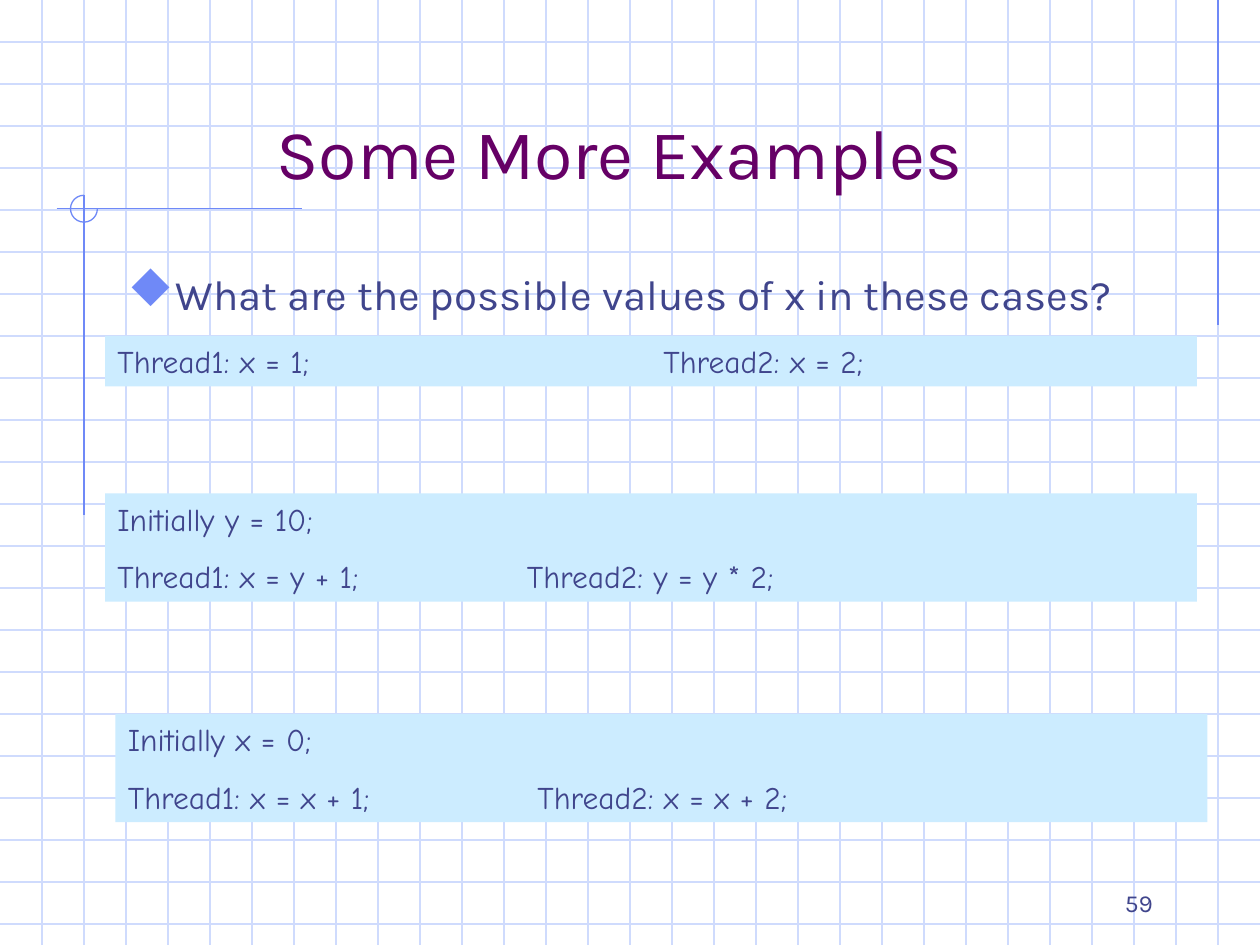
from dataclasses import dataclass

from lxml import etree
from pptx import Presentation
from pptx.dml.color import RGBColor
from pptx.enum.shapes import MSO_CONNECTOR, MSO_SHAPE
from pptx.enum.text import MSO_ANCHOR, MSO_AUTO_SIZE, PP_ALIGN
from pptx.oxml.ns import qn
from pptx.util import Inches, Pt

STRAIGHT = MSO_CONNECTOR.STRAIGHT
ARC, RECTANGLE = MSO_SHAPE.ARC, MSO_SHAPE.RECTANGLE
TOP, BOTTOM = MSO_ANCHOR.TOP, MSO_ANCHOR.BOTTOM
NO_FIT = MSO_AUTO_SIZE.NONE
LEFT, CENTER, RIGHT = PP_ALIGN.LEFT, PP_ALIGN.CENTER, PP_ALIGN.RIGHT

# The page is ruled in squares, three to the inch
COLUMNS, ROWS = 30, 22.5
SQUARE = Inches(1) / 3


@dataclass(frozen=True)
class Theme:
    grid: str = "CFDBFD"
    accent: str = "6F89F7"
    heading: str = "660066"
    text: str = "40458C"
    panel: str = "CCECFF"
    font: str = "Karla"
    code_font: str = "Comic Neue"
    bullet_font: str = "Wingdings"
    bullet: str = "u"  # the diamond of the symbol font
    title_size: float = 40
    body_size: float = 24
    code_size: float = 18
    number_size: float = 14
    line_width: float = 0.75
    code_gap: float = 11.2


THEME = Theme()


def color(value):
    return RGBColor.from_string(value)


def squares(*values):
    return [round(value * SQUARE) for value in values]


def add_child(parent, tag, **attributes):
    return etree.SubElement(parent, qn(tag), attributes)


def add_line(page, start, end, line_color):
    line = page.shapes.add_connector(STRAIGHT, *squares(*start, *end))
    line.line.color.rgb = color(line_color)
    line.line.width = Pt(THEME.line_width)
    add_child(line.element.spPr, "a:effectLst")


def format_paragraph(para, font, size, text_color, align=LEFT):
    para.alignment = align
    for span in para.runs:
        span.font.name = font
        span.font.size = Pt(size)
        span.font.color.rgb = color(text_color)


def prepare_frame(shape, anchor):
    frame = shape.text_frame
    frame.word_wrap = True
    frame.auto_size = NO_FIT
    frame.vertical_anchor = anchor
    return frame


def draw_background(page):
    # Ruled paper
    for row in range(1, int(ROWS) + 1):
        add_line(page, (0, row), (COLUMNS, row), THEME.grid)
    for column in range(1, COLUMNS):
        add_line(page, (column, 0), (column, ROWS), THEME.grid)

    # Margin lines, crossing at the centre of the arc
    column, row, radius = 2, 4.97, 0.32
    add_line(page, (COLUMNS - 1, 0), (COLUMNS - 1, 7.75), THEME.accent)
    add_line(page, (1.35, row), (7.2, row), THEME.accent)
    add_line(page, (column, row - radius), (column, 12.27), THEME.accent)

    # Three-quarter circle, open at the upper right
    arc = page.shapes.add_shape(
        ARC, *squares(column - radius, row - radius, 2 * radius, 2 * radius))
    arc.adjustments[0] = 0
    arc.adjustments[1] = 162  # 270 degrees
    arc.shadow.inherit = False
    arc.fill.background()
    arc.line.color.rgb = color(THEME.accent)
    arc.line.width = Pt(THEME.line_width)


def place_title(page, box, text):
    title = page.shapes.title
    page.shapes.element.append(title.element)  # in front of the ruled paper
    title.left, title.top, title.width, title.height = squares(*box)
    frame = prepare_frame(title, BOTTOM)
    frame.text = text
    format_paragraph(frame.paragraphs[0], THEME.font, THEME.title_size,
                     THEME.heading, CENTER)


def place_question(page, box, text):
    frame = prepare_frame(page.shapes.add_textbox(*squares(*box)), TOP)
    frame.text = text
    para = frame.paragraphs[0]
    properties = para._p.get_or_add_pPr()
    properties.set("marL", str(Inches(0.38)))
    properties.set("indent", str(-Inches(0.38)))
    bullet_color = add_child(properties, "a:buClr")
    add_child(bullet_color, "a:srgbClr", val=THEME.accent)
    add_child(properties, "a:buSzPct", val="110000")
    add_child(properties, "a:buFont", typeface=THEME.bullet_font,
              pitchFamily="2", charset="2")
    add_child(properties, "a:buChar", char=THEME.bullet)
    format_paragraph(para, THEME.font, THEME.body_size, THEME.text)


def place_code_panel(page, box, lines, second_thread):
    """Code lines on a tinted panel; a tab leads to the second thread."""
    panel = page.shapes.add_shape(RECTANGLE, *squares(*box))
    panel.shadow.inherit = False
    panel.fill.solid()
    panel.fill.fore_color.rgb = color(THEME.panel)
    panel.line.fill.background()
    frame = prepare_frame(panel, TOP)
    frame.text = "\n".join(lines)
    for index, para in enumerate(frame.paragraphs):
        if index:
            para.space_before = Pt(THEME.code_gap)
        tabs = add_child(para._p.get_or_add_pPr(), "a:tabLst")
        add_child(tabs, "a:tab", pos=str(squares(second_thread)[0]), algn="l")
        format_paragraph(para, THEME.code_font, THEME.code_size, THEME.text)


def place_page_number(page, box, text):
    frame = prepare_frame(page.shapes.add_textbox(*squares(*box)), BOTTOM)
    frame.text = text
    format_paragraph(frame.paragraphs[0], THEME.font, THEME.number_size,
                     THEME.text, RIGHT)


def main():
    deck = Presentation()
    deck.slide_width, deck.slide_height = squares(COLUMNS, ROWS)
    page = deck.slides.add_slide(deck.slide_layouts[5])

    draw_background(page)
    place_title(page, (2, 1, 25.5, 3.75), "Some More Examples")
    place_question(page, (2.75, 6.25, 25.5, 2.8),
                   "What are the possible values of x in these cases?")

    # Left, top and height of each panel, its lines and its tab stop
    panels = [
        (2.5, 8, 1.2, ["Thread1: x = 1;\tThread2: x = 2;"], 13),
        (2.5, 11.75, 2.58, ["Initially y = 10;",
                            "Thread1: x = y + 1;\tThread2: y = y * 2;"], 9.75),
        (2.75, 17, 2.58, ["Initially x = 0;",
                          "Thread1: x = x + 1;\tThread2: x = x + 2;"], 9.75),
    ]
    for left, top, height, lines, second_thread in panels:
        place_code_panel(page, (left, top, 26, height), lines, second_thread)

    place_page_number(page, (21.5, 20.5, 6.25, 1.5), "59")
    deck.save("out.pptx")


if __name__ == "__main__":
    main()
